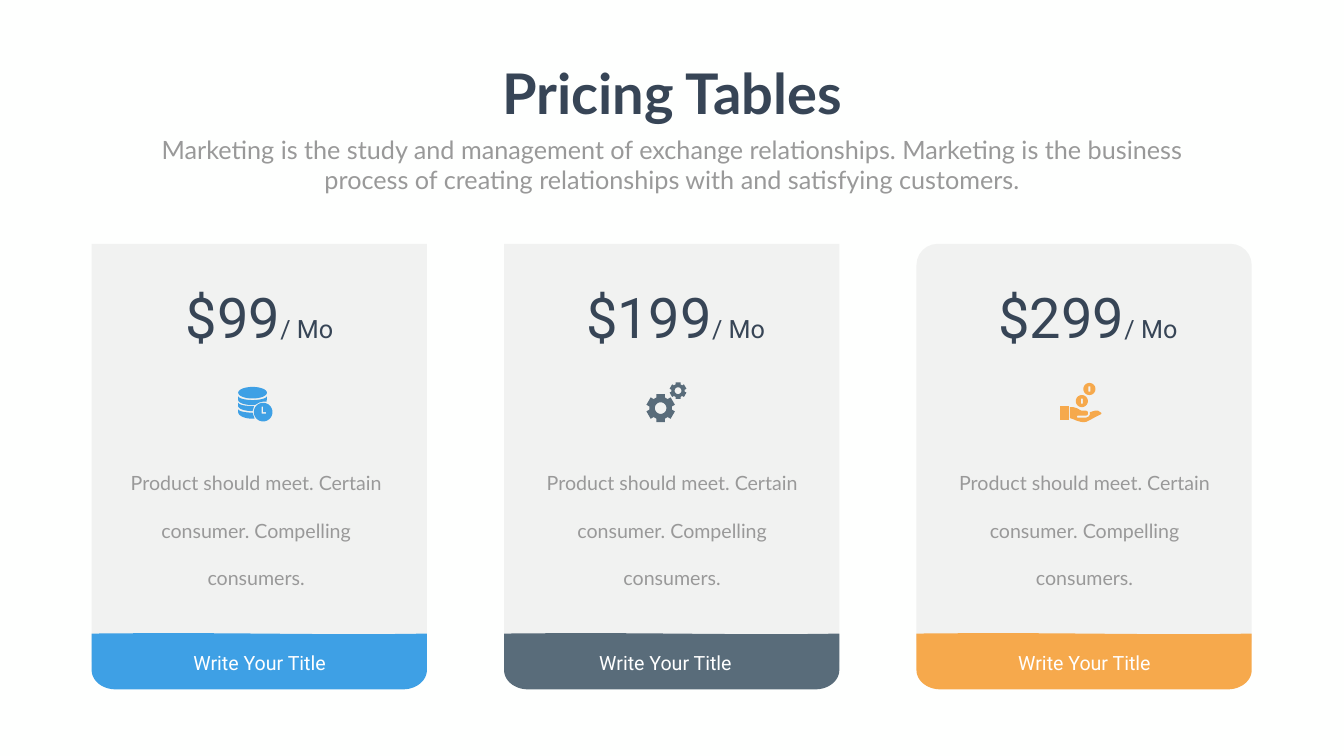
from math import cos, radians, sin

from lxml.etree import SubElement
from pptx import Presentation
from pptx.dml.color import RGBColor
from pptx.enum.shapes import MSO_SHAPE
from pptx.enum.text import MSO_AUTO_SIZE, PP_ALIGN
from pptx.oxml.ns import qn
from pptx.util import Cm, Pt

COLOURS = {
    "page": "FEFFFE", "card": "808080", "dark": "374556", "grey": "999999",
    "white": "FFFFFF", "blue": "3EA0E5", "slate": "596C7A", "orange": "F6A94C",
}
FORMATS = {
    "title": {"name": "Lato", "size": Pt(80), "bold": True, "colour": "dark"},
    "subtitle": {"name": "Lato", "size": Pt(36), "colour": "grey"},
    "price": {"name": "Roboto", "size": Pt(80), "colour": "dark"},
    "period": {"name": "Roboto", "size": Pt(36), "colour": "dark"},
    "details": {"name": "Lato", "size": Pt(28), "colour": "grey"},
    "button": {"name": "Roboto", "size": Pt(28), "colour": "white"},
}
ICON_UNIT = 0.0254  # cm for one step of the icon grids
CARD_WIDTH, CARD_HEIGHT, CARD_STEP = 16.89, 21.06, 20.78


def rgb(name):
    return RGBColor.from_string(COLOURS[name])


def add_text(page, box, spans, wrap=True, margins=None, spacing=None):
    """Add one centred paragraph; spans are (text, format name) pairs."""
    frame = page.shapes.add_textbox(*map(Cm, box)).text_frame
    frame.word_wrap = wrap
    frame.auto_size = MSO_AUTO_SIZE.SHAPE_TO_FIT_TEXT
    for side, margin in (margins or {}).items():
        setattr(frame, f"margin_{side}", Cm(margin))
    para = frame.paragraphs[0]
    para.alignment = PP_ALIGN.CENTER
    para.line_spacing = spacing
    for text, style in spans:
        span = para.add_run()
        span.text = text
        for key, value in FORMATS[style].items():
            if key == "colour":
                span.font.color.rgb = rgb(value)
            else:
                setattr(span.font, key, value)


def paint(shape, colour):
    shape.shadow.inherit = False
    shape.fill.solid()
    shape.fill.fore_color.rgb = rgb(colour)
    shape.line.fill.background()


def add_outline(page, origin, contours, colour, unit=1.0):
    """Fill closed contours; a contour inside another becomes a hole."""
    left, top = origin
    scaled = [[(Cm(left + x * unit), Cm(top + y * unit)) for x, y in contour]
              for contour in contours]
    builder = page.shapes.build_freeform(*scaled[0][0])
    builder.add_line_segments(scaled[0][1:])
    for contour in scaled[1:]:
        builder.move_to(*contour[0])
        builder.add_line_segments(contour[1:])
    paint(builder.convert_to_shape(), colour)


def arc(x, y, rx, ry, start=0, end=360, steps=32):
    angles = [radians(start + (end - start) * i / steps) for i in range(steps + 1)]
    return [(x + rx * cos(angle), y + ry * sin(angle)) for angle in angles]


def curve(a, b, c, d, steps=24):
    """Points along a cubic Bezier curve."""
    points = []
    for i in range(steps + 1):
        t = i / steps
        weights = (1 - t) ** 3, 3 * t * (1 - t) ** 2, 3 * t * t * (1 - t), t ** 3
        points.append(tuple(sum(w * p for w, p in zip(weights, axis))
                            for axis in zip(a, b, c, d)))
    return points


def rectangle(left, top, right, bottom):
    return [(left, top), (right, top), (right, bottom), (left, bottom)]


def database_icon(page, left, top, colour):
    def band(upper, upper_end, lower, lower_end, joint=()):
        return [arc(29, *upper, 180, upper_end) + list(joint)
                + arc(29, *lower, lower_end, 180)]

    clock_hands = [(47, 39), (50, 39), (50, 50), (56, 50), (56, 53), (47, 53)]
    parts = [
        [arc(29, 11.5, 28.5, 11.5)],
        band((18, 28.5, 8), 0, (26, 28.5, 10), 80, [(57, 29), (50, 29), (42, 31)]),
        band((31, 28.5, 7), 84, (38, 28.5, 10), 90),
        band((44, 28.5, 7), 90, (50, 28.5, 13), 82),
        [arc(50, 50, 18.5, 18.5), clock_hands],
    ]
    for contours in parts:
        add_outline(page, (left + 0.18, top + 0.23), contours, colour, ICON_UNIT)


def gears_icon(page, left, top, colour):
    tooth = ((-22, 22.6), (-17, 29), (17, 29), (22, 22.6))
    for x, y, scale in ((27.5, 51, 1), (62, 16.5, 0.59)):
        rim = [(x + radius * scale * sin(radians(turn + angle)),
                y - radius * scale * cos(radians(turn + angle)))
               for turn in range(0, 360, 60) for angle, radius in tooth]
        hole = arc(x, y, 11.5 * scale, 11.5 * scale)
        add_outline(page, (left, top), [rim, hole], colour, ICON_UNIT)


def coins_icon(page, left, top, colour):
    hand = [
        (19, 48), (26, 48), (33, 50), (40, 54), (42, 55), (51, 55), (54, 56),
        (55, 59), (55, 62), (54, 64), (51, 65), (34, 65), (33, 67), (34, 69),
        (51, 69), (56, 67), (59, 63), (59, 58), (69, 55), (75, 55), (81, 59),
        (82, 60), (81, 62), (71, 67), (60, 73), (52, 77), (46, 78), (40, 77),
        (33, 75), (26, 72), (20, 70), (19, 69),
    ]
    parts = [[rectangle(0, 45, 17, 74)], [hand]]
    for x, y in ((58, 12), (43, 36)):
        parts.append([arc(x, y, 12, 12), rectangle(x - 2, y - 5, x + 2, y + 5)])
    for contours in parts:
        add_outline(page, (left + 0.05, top + 0.03), contours, colour, ICON_UNIT)


def add_button(page, left, top, width, height, colour, text_left):
    rx, ry = 1.2, 0.97
    wave = curve((0, 0.03), (0.45 * width, -0.05), (0.68 * width, 0.13), (width, 0.03))
    corners = (arc(width - rx, height - ry, rx, ry, 0, 90)
               + arc(rx, height - ry, rx, ry, 90, 180))
    add_outline(page, (left, top), [wave + corners], colour)
    add_text(page, (left + text_left, top + 0.76, 9.14, 1.45),
             [("Write Your Title", "button")], wrap=False)


def add_card(page, left, top, plan):
    panel = page.shapes.add_shape(MSO_SHAPE.ROUNDED_RECTANGLE, Cm(left), Cm(top),
                                  Cm(CARD_WIDTH), Cm(CARD_HEIGHT))
    panel.adjustments[0] = plan["rounding"]
    paint(panel, "card")
    tint = next(panel.element.iter(qn("a:srgbClr")))
    SubElement(tint, qn("a:alpha")).set("val", "10000")

    add_button(page, left, top + 19.61, CARD_WIDTH, 2.84, plan["colour"],
               plan["button_left"])
    shift = plan["text_shift"]
    add_text(page, (left + 3.2 + shift, top + 1.83, 10.52, 3.68),
             [(plan["price"], "price"), ("/ Mo", "period")])
    add_text(page, (left + 1.02 + shift, top + 9.98, 14.53, 7.42),
             [("Product should meet. Certain consumer. Compelling consumers.", "details")],
             margins={"left": 0.61, "right": 0.61, "top": 0.3, "bottom": 0.3},
             spacing=2.0)
    plan["icon"](page, left + 7.19, top + 6.98, plan["colour"])


def add_heading(page, left, top, width):
    title_width = 18.36
    add_text(page, (left + (width - title_width) / 2, top, title_width, 3.68),
             [("Pricing Tables", "title")], wrap=False)
    add_text(page, (left, top + 3.79, width, 3.33),
             [("Marketing is the study and management of exchange relationships. "
               "Marketing is the business process of creating relationships with "
               "and satisfying customers.", "subtitle")])


def main():
    deck = Presentation()
    deck.slide_width, deck.slide_height = Cm(67.72), Cm(38.1)
    page = deck.slides.add_slide(deck.slide_layouts[6])
    page.background.fill.solid()
    page.background.fill.fore_color.rgb = rgb("page")

    add_heading(page, 7.42, 2.84, 52.88)
    keys = ("price", "colour", "icon", "rounding", "text_shift", "button_left")
    plans = [
        ("$99", "blue", database_icon, 0, 0, 3.89),
        ("$199", "slate", gears_icon, 0, 0.18, 3.56),
        ("$299", "orange", coins_icon, 0.063, 0.18, 3.89),
    ]
    for index, values in enumerate(plans):
        add_card(page, 4.62 + index * CARD_STEP, 12.29, dict(zip(keys, values)))
    deck.save("out.pptx")


if __name__ == "__main__":
    main()
